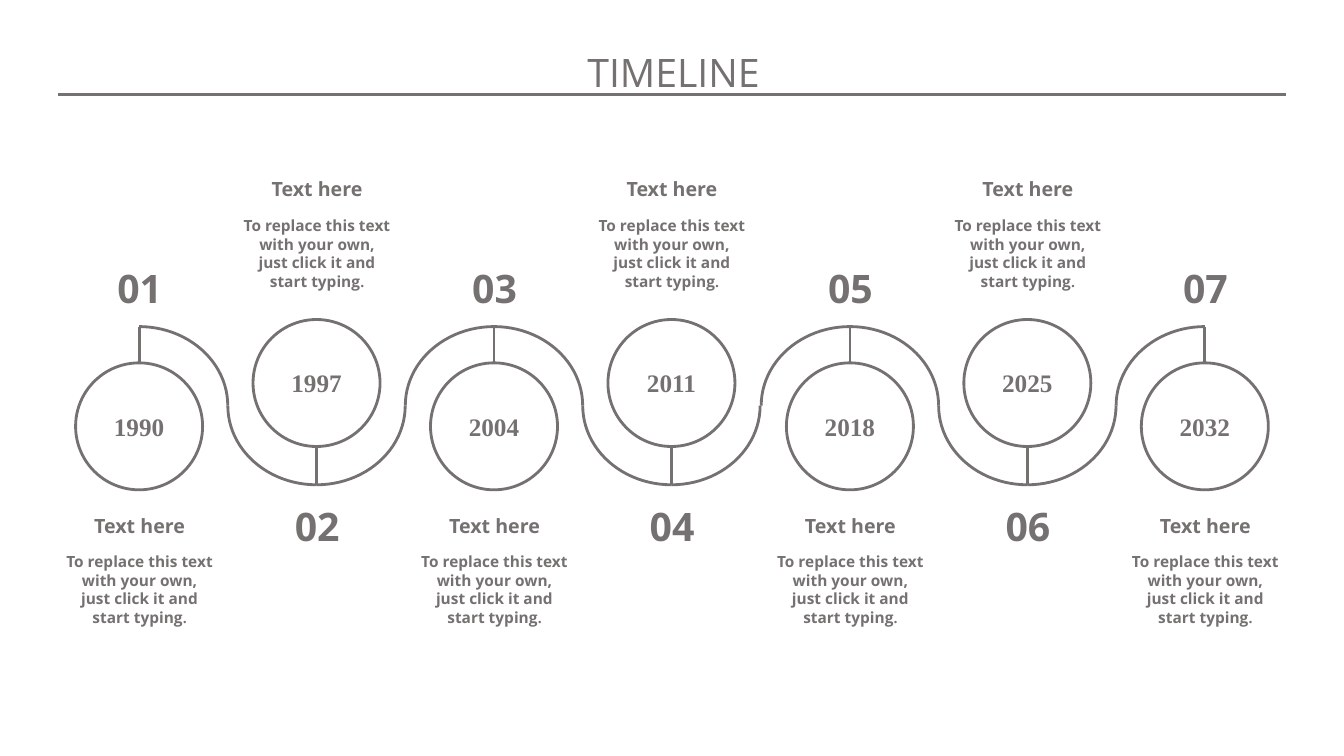
from pptx import Presentation
from pptx.dml.color import RGBColor
from pptx.enum.shapes import MSO_CONNECTOR as CONNECTOR, MSO_SHAPE as SHAPE
from pptx.enum.text import MSO_AUTO_SIZE as AUTO_SIZE, PP_ALIGN as ALIGN
from pptx.oxml.ns import qn
from pptx.util import Emu, Pt
from lxml.etree import SubElement

EMU_PER_PX = 9144  # 100 px to the inch
COLORS = {"grey": "767171", "white": "FFFFFF"}
SANS, SERIF = "Open Sans", "Times New Roman"

YEARS = ["1990", "1997", "2004", "2011", "2018", "2025", "2032"]
HEADING = "Text here"
BODY = "To replace this text with your own, just click it and start typing"

FIRST_X, LAST_X = 138, 1195
ARC_W, ARC_H, ARC_TOP = 176, 157, 324
CIRCLE = 126
# Tops of the parts of a milestone, for a crest and a trough of the wave
CREST = dict(circle=360, stem=(324, 360), number=257, year=403, heading=505, body=543)
TROUGH = dict(circle=317, stem=(442, 481), number=493, year=359, heading=171, body=210)


def px(*lengths):
    return [Emu(length * EMU_PER_PX) for length in lengths]


def color(name):
    return RGBColor.from_string(COLORS[name])


def style_line(line):
    line.color.rgb = color("grey")
    line.width = Pt(2)


def add_text(slide, box, text, size, font=SANS, bold=True, period_size=None):
    """Add centred text; period_size appends a full stop of that size."""
    textbox = slide.shapes.add_textbox(*px(*box))
    frame = textbox.text_frame
    frame.word_wrap = True
    frame.auto_size = AUTO_SIZE.SHAPE_TO_FIT_TEXT
    paragraph = frame.paragraphs[0]
    paragraph.alignment = ALIGN.CENTER
    pieces = [(text, size)]
    if period_size:
        pieces.append((".", period_size))
    for piece, points in pieces:
        run = paragraph.add_run()
        run.text = piece
        run.font.size = Pt(points)
        run.font.name = font
        run.font.bold = bold
        run.font.color.rgb = color("grey")


def add_line(slide, x1, y1, x2, y2):
    line = slide.shapes.add_connector(CONNECTOR.STRAIGHT, *px(x1, y1, x2, y2))
    style_line(line.line)
    SubElement(line._element.spPr, qn("a:effectLst"))


def add_arc(slide, center, flip_h, flip_v):
    """Add a quarter of the wave, right of center unless flip_h is set."""
    arc = slide.shapes.add_shape(
        SHAPE.ARC, *px(center - ARC_W // 2, ARC_TOP, ARC_W, ARC_H))
    arc.shadow.inherit = False
    arc.fill.background()
    style_line(arc.line)
    xfrm = arc._element.spPr.xfrm
    if flip_h:
        xfrm.set("flipH", "1")
    if flip_v:
        xfrm.set("flipV", "1")


def add_circle(slide, center, top):
    circle = slide.shapes.add_shape(
        SHAPE.OVAL, *px(center - CIRCLE // 2, top, CIRCLE, CIRCLE))
    circle.shadow.inherit = False
    circle.fill.solid()
    circle.fill.fore_color.rgb = color("white")
    style_line(circle.line)


def add_milestone(slide, index, year):
    last = len(YEARS) - 1
    center = FIRST_X + round(index * (LAST_X - FIRST_X) / last)
    is_trough = index % 2 == 1
    tops = TROUGH if is_trough else CREST

    if index < last:
        add_arc(slide, center, False, is_trough)
    if index > 0:
        add_arc(slide, center, True, is_trough)
    stem_top, stem_bottom = tops["stem"]
    add_line(slide, center, stem_top, center, stem_bottom)
    add_circle(slide, center, tops["circle"])

    add_text(slide, (center - 52, tops["number"], 105, 57), f"{index + 1:02}", 28)
    add_text(slide, (center - 63, tops["year"], CIRCLE, 40), year, 18, font=SERIF)
    add_text(slide, (center - 83, tops["heading"], 167, 33), HEADING, 14)
    add_text(slide, (center - 83, tops["body"], 167, 83), BODY, 11, period_size=10)


def main():
    deck = Presentation()
    deck.slide_width, deck.slide_height = px(1333, 750)
    slide = deck.slides.add_slide(deck.slide_layouts[6])
    add_text(slide, (0, 43, 1336, 57), "TIMELINE", 28, bold=False)
    add_line(slide, 58, 94, 1275, 94)
    for index, year in enumerate(YEARS):
        add_milestone(slide, index, year)
    deck.save("out.pptx")


if __name__ == "__main__":
    main()
